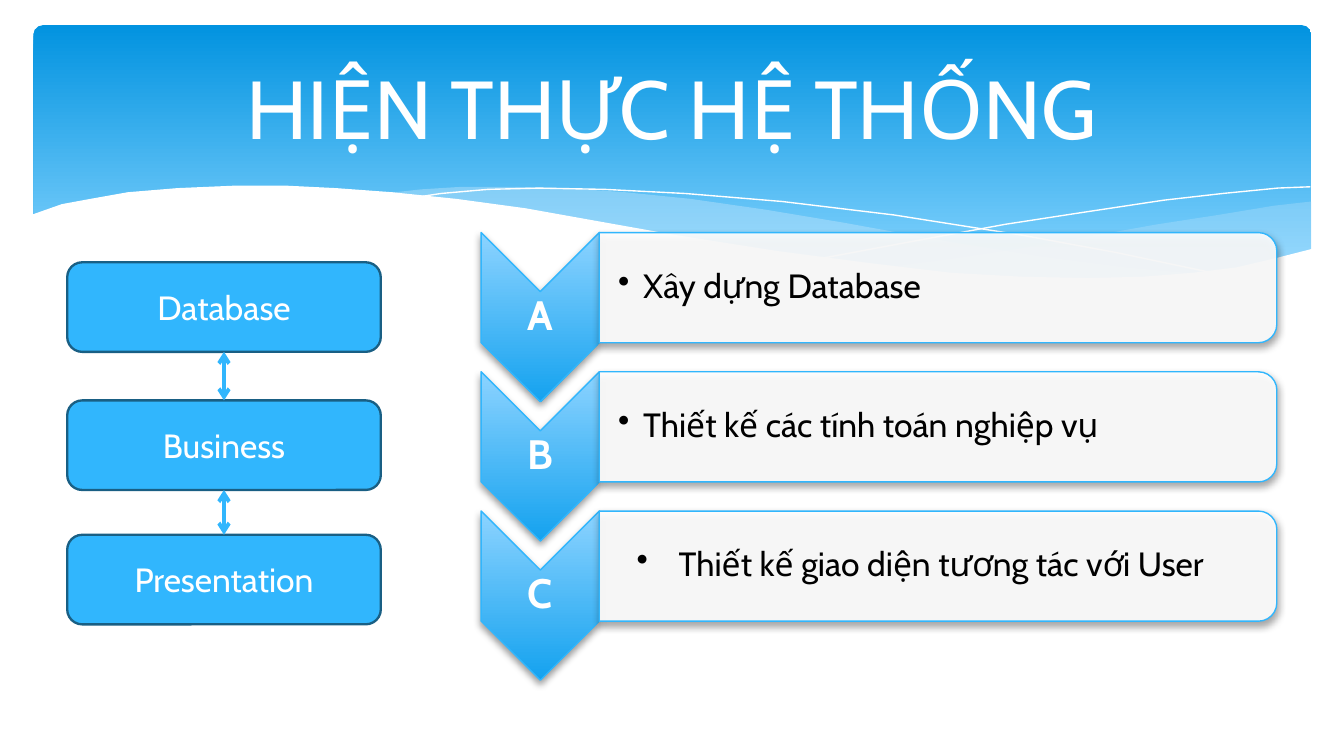
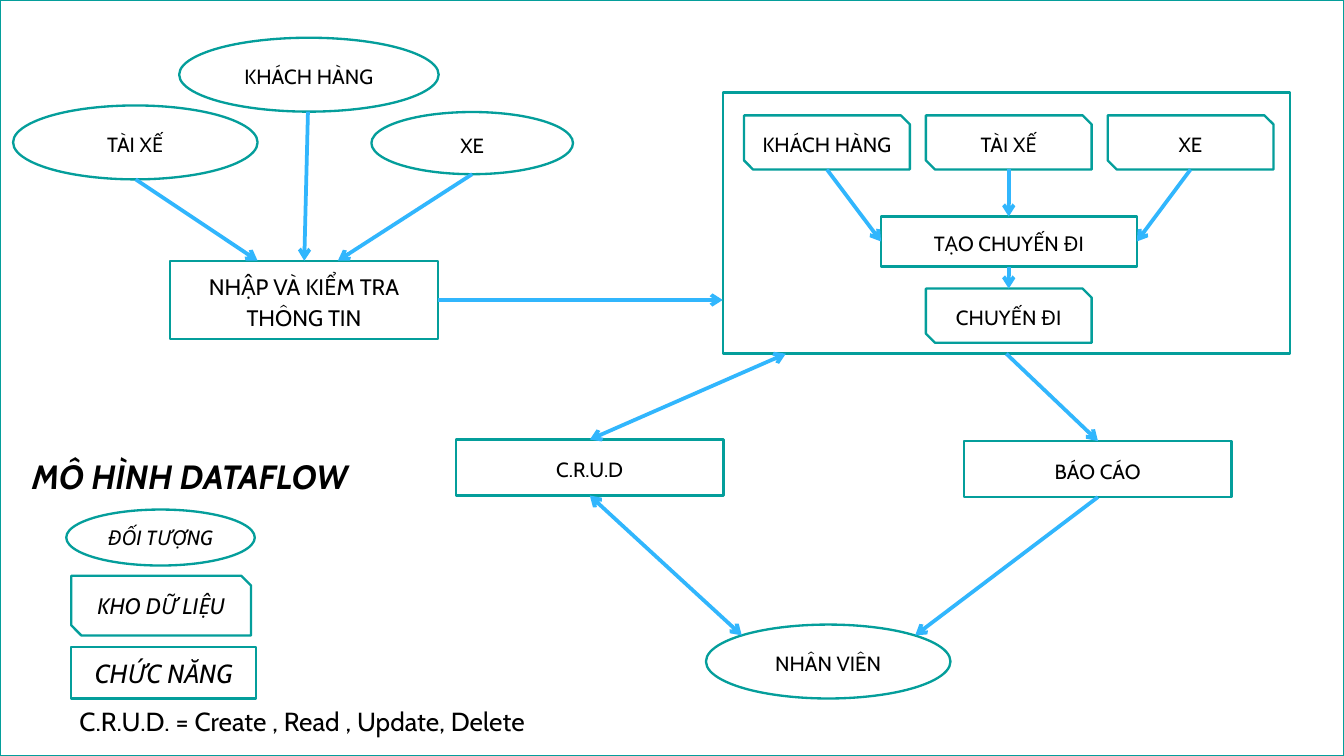
from lxml.etree import SubElement
from pptx import Presentation
from pptx.dml.color import RGBColor
from pptx.enum.shapes import MSO_CONNECTOR, MSO_SHAPE as SHAPE
from pptx.enum.text import MSO_ANCHOR as ANCHOR, PP_ALIGN as ALIGN
from pptx.oxml.ns import qn
from pptx.util import Pt

WHITE = RGBColor(0xFF, 0xFF, 0xFF)
BLACK = RGBColor(0x00, 0x00, 0x00)
SKY = RGBColor(0x31, 0xB6, 0xFD)
NAVY = RGBColor(0x19, 0x5F, 0x84)
TEAL = RGBColor(0x04, 0x9E, 0x9B)
MIST = RGBColor(0xC6, 0xE7, 0xFC)
BAND_TOP = RGBColor(0x02, 0x93, 0xE0)
BAND_END = RGBColor(0x83, 0xD3, 0xFE)
CHEVRON_TOP = RGBColor(0x8C, 0xD3, 0xFF)
CHEVRON_END = RGBColor(0x14, 0xA2, 0xEF)

CENTRED = {"alignment": ALIGN.CENTER}
LEFT = {"alignment": ALIGN.LEFT}
SPACED = {"alignment": ALIGN.CENTER, "line_spacing": 1.15, "space_after": Pt(10)}
MIDDLE = {"vertical_anchor": ANCHOR.MIDDLE}
TOP = {"vertical_anchor": ANCHOR.TOP}
NARROW = {"vertical_anchor": ANCHOR.MIDDLE, "margin_left": 0, "margin_right": 0}


def paint(sp, fill=None, line=None, width=1.25, alpha=None, angle=0):
    sp.shadow.inherit = False
    if isinstance(fill, list):
        sp.fill.gradient()
        sp.fill.gradient_angle = angle
        for stop, (color, position) in zip(sp.fill.gradient_stops, fill):
            stop.color.rgb = color
            stop.position = position
    elif fill is None:
        sp.fill.background()
    else:
        sp.fill.solid()
        sp.fill.fore_color.rgb = fill
    if alpha:
        color = sp._element.spPr.find(".//" + qn("a:srgbClr"))
        SubElement(color, qn("a:alpha"), val=str(alpha * 1000))
    if line is None:
        sp.line.fill.background()
    else:
        sp.line.color.rgb = line
        sp.line.width = Pt(width)
    return sp


def write(sp, text, size, color, para, frame, **fmt):
    tf = sp.text_frame
    tf.word_wrap = True
    p = tf.paragraphs[0]
    r = p.add_run()
    r.text = text
    r.font.color.rgb = color
    font = {"name": "Cabin", "size": Pt(size), **fmt}
    for target, values in ((tf, frame), (p, para), (r.font, font)):
        for key, value in values.items():
            setattr(target, key, value)
    return p


prs = Presentation()
prs.slide_width, prs.slide_height = Pt(720), Pt(405)
title_only = prs.slide_layouts[5]
system = prs.slides.add_slide(title_only)
dataflow = prs.slides.add_slide(title_only)

shapes = system.shapes
sp = shapes.add_shape(SHAPE.ROUNDED_RECTANGLE, Pt(18), Pt(13.5), Pt(684.5), Pt(145.5))
sp.adjustments[0] = 0.034
paint(sp, [(BAND_TOP, 0), (BAND_END, 0.9)], angle=270)

right_wave = [
    (702, 108), (682.6, 110.2), (652.3, 115.2), (619.9, 120.2), (579.6, 127.4),
    (542.2, 133.9), (508.3, 139), (475.9, 143.3), (507.6, 146.2), (536.4, 148.3),
    (562.3, 149.8), (593.3, 149.8), (621.4, 148.3), (645.8, 146.2),
    (668.2, 142.6), (683.3, 139), (702.7, 133.2), (702.7, 108)]
middle_wave = [
    (643, 146.9), (602.6, 143.3), (558, 137.5), (508.3, 129.6), (452.9, 119.5),
    (409.7, 112.3), (370.1, 106.6), (334.8, 103), (302.4, 100.8), (273.6, 100.1),
    (247.7, 100.1), (225.4, 101.5), (205.9, 103.7), (246.2, 107.3),
    (290.9, 113.8), (323.3, 119.5), (381.6, 129.6), (432.7, 137.5), (478.8, 144),
    (519.8, 147.6), (556.6, 149.8), (596.2, 150.5), (624.2, 149)]
falling_line = [
    (222.5, 105.8), (236.2, 103.7), (261.4, 101.5), (288.7, 100.8), (324, 101.5),
    (367.2, 103.7), (419, 108), (478.8, 115.2), (547.2, 126), (598.3, 135.4),
    (653, 146.9)]
rising_line = [
    (441.4, 138.2), (483.8, 130.3), (538.6, 120.2), (580.3, 113.8),
    (623.5, 107.3), (655.2, 103.7), (684.7, 100.8), (702, 100.1)]
white_wave = [
    (703.4, 133.2), (684, 138.2), (662.4, 143.3), (638.6, 146.2), (612, 148.3),
    (582.5, 149), (547.9, 148.3), (509.8, 146.2), (466.6, 141.1), (416.9, 134.6),
    (362.2, 126), (321.8, 118.8), (281.5, 111.6), (244.8, 106.6), (210.2, 103),
    (180, 100.8), (151.9, 99.4), (127.4, 99.4), (95, 100.8), (68.4, 103),
    (48.2, 106.6), (33.1, 109.4), (16.6, 115.2), (16.6, 177.8), (703.4, 177.8)]

for points, fill, alpha, line in [
    (right_wave, MIST, 29, None),
    (middle_wave, MIST, 40, None),
    (falling_line, None, None, WHITE),
    (rising_line, None, None, WHITE),
    (white_wave, WHITE, None, None),
]:
    start, *rest = [(Pt(x), Pt(y)) for x, y in points]
    builder = shapes.build_freeform(*start)
    builder.add_line_segments(rest, close=line is None)
    paint(builder.convert_to_shape(), fill, line, 0, alpha)

for slide, box, text, size, color, para, frame, fmt in [
    (system, (36, 20, 648, 74), "HIỆN THỰC HỆ THỐNG", 44, WHITE, CENTRED, MIDDLE, {}),
    (dataflow, (10, 240.5, 188.5, 29), "MÔ HÌNH DATAFLOW", 18, BLACK, LEFT, TOP,
     {"bold": True, "italic": True}),
]:
    title = slide.shapes.title
    title.left, title.top, title.width, title.height = map(Pt, box)
    write(title, text, size, color, para, frame, **fmt)
shapes._spTree.append(shapes.title._element)

for i, (letter, text, inset, indent) in enumerate([
    ("A", "Xây dựng Database", 10, 13.5),
    ("B", "Thiết kế các tính toán nghiệp vụ", 10, 13.5),
    ("C", "Thiết kế giao diện tương tác với User", 20, 22.5),
]):
    y = 74.6 * i
    chevron = shapes.add_shape(SHAPE.CHEVRON, Pt(244.1), Pt(y + 138.2), Pt(90.7), Pt(63.4))
    paint(chevron, [(CHEVRON_TOP, 0), (CHEVRON_END, 1)], SKY, 0.75)
    card = shapes.add_shape(SHAPE.ROUND_2_SAME_RECTANGLE,
                            Pt(473), Pt(y - 27.4), Pt(59), Pt(363))
    paint(card, WHITE, SKY, 0.75, 90)
    for sp in (chevron, card):
        sp.rotation = 90
        effects = sp._element.spPr.find(qn("a:effectLst"))
        shadow = SubElement(effects, qn("a:outerShdw"), blurRad=str(Pt(4)),
                            dist=str(Pt(2)), dir="5400000", rotWithShape="0")
        color = SubElement(shadow, qn("a:srgbClr"), val="000000")
        SubElement(color, qn("a:alpha"), val="38000")
    sp = shapes.add_textbox(Pt(257.8), Pt(y + 156.2), Pt(63.4), Pt(27.4))
    write(sp, letter, 22, WHITE, {"alignment": ALIGN.CENTER, "line_spacing": 0.9},
          NARROW, bold=True)
    sp = shapes.add_textbox(Pt(321.1), Pt(y + 127.4), Pt(360), Pt(53.3))
    p = write(sp, text, 18, BLACK, {"level": 1, "line_spacing": 0.9},
              {**MIDDLE, "margin_left": Pt(inset), "margin_right": Pt(1)})
    pPr = p._p.get_or_add_pPr()
    pPr.set("marL", str(Pt(indent)))
    pPr.set("indent", str(-Pt(indent)))
    SubElement(pPr, qn("a:buChar"), char="•")

for y, text in [(140.5, "Database"), (214.5, "Business"), (286.5, "Presentation")]:
    sp = shapes.add_shape(SHAPE.ROUNDED_RECTANGLE, Pt(36), Pt(y), Pt(168), Pt(48))
    write(paint(sp, SKY, NAVY), text, 18, WHITE, CENTRED, MIDDLE)

shapes = dataflow.shapes
OVAL, BOX, STORE = SHAPE.OVAL, SHAPE.RECTANGLE, SHAPE.SNIP_2_DIAG_RECTANGLE
legend = {"italic": True}
for kind, x, y, w, h, text, size, para, fmt in [
    (BOX, 0, 0, 720, 405, "", 11, SPACED, {}),
    (OVAL, 199, 60, 108, 33.3, "XE", 11, SPACED, {}),
    (OVAL, 7, 56.5, 131, 39.6, "TÀI XẾ", 11, SPACED, {}),
    (OVAL, 96, 20.2, 139, 39.6, "KHÁCH HÀNG", 11, SPACED, {}),
    (BOX, 91.2, 139.7, 143.5, 42, "NHẬP VÀ KIỂM TRA THÔNG TIN", 12, SPACED, {}),
    (BOX, 387.2, 49.5, 303.8, 140, "", 11, SPACED, {}),
    (STORE, 398.6, 61.8, 88.8, 29, "KHÁCH HÀNG", 11, SPACED, {}),
    (STORE, 496, 61.8, 88.8, 29, "TÀI XẾ", 11, SPACED, {}),
    (STORE, 593.4, 61.8, 88.8, 29, "XE", 11, SPACED, {}),
    (BOX, 472, 116, 137, 26.8, "TẠO CHUYẾN ĐI", 11, SPACED, {}),
    (STORE, 496, 154.6, 88.8, 29, "CHUYẾN ĐI", 11, SPACED, {}),
    (BOX, 516.4, 236.3, 143.5, 30, "BÁO CÁO", 11, SPACED, {}),
    (BOX, 244.2, 235.5, 143.5, 30, "C.R.U.D", 11, SPACED, {}),
    (OVAL, 378.2, 334.6, 131, 39.6, "NHÂN VIÊN", 11, SPACED, {}),
    (OVAL, 35.5, 273, 101, 30, "ĐỐI TƯỢNG", 11, CENTRED, legend),
    (STORE, 38.2, 308.4, 96.3, 32, "KHO DỮ LIỆU", 12, CENTRED, legend),
    (BOX, 38.2, 346.5, 99, 27.7, "CHỨC NĂNG", 14, CENTRED, legend),
]:
    sp = paint(shapes.add_shape(kind, Pt(x), Pt(y), Pt(w), Pt(h)), WHITE, TEAL)
    if text:
        write(sp, text, size, BLACK, para, NARROW, **fmt)

shapes._spTree.append(shapes.title._element)
sp = shapes.add_textbox(Pt(35.5), Pt(374.5), Pt(287), Pt(24.2))
write(sp, "C.R.U.D. = Create , Read , Update, Delete", 14, BLACK, LEFT, TOP)

for slide, x1, y1, x2, y2, ends in [
    (system, 120, 188.5, 120, 214.5, ("headEnd", "tailEnd")),
    (system, 120, 262.5, 120, 286.5, ("headEnd", "tailEnd")),
    (dataflow, 72.7, 96.1, 138, 139.7, ("tailEnd",)),
    (dataflow, 253, 93.3, 181, 139.7, ("tailEnd",)),
    (dataflow, 165, 59.8, 163, 139.7, ("tailEnd",)),
    (dataflow, 234.7, 160.7, 387.2, 160.7, ("tailEnd",)),
    (dataflow, 588.2, 266.3, 490.3, 340.4, ("tailEnd",)),
    (dataflow, 421, 189.5, 316, 235.5, ("headEnd", "tailEnd")),
    (dataflow, 316, 265.5, 397.4, 340.4, ("headEnd", "tailEnd")),
    (dataflow, 443, 90.8, 472, 129.4, ("tailEnd",)),
    (dataflow, 540.4, 90.8, 540.4, 116, ("tailEnd",)),
    (dataflow, 637.8, 90.8, 609, 129.4, ("tailEnd",)),
    (dataflow, 540.4, 142.8, 540.4, 154.6, ("tailEnd",)),
    (dataflow, 539.1, 189.5, 588.2, 236.3, ("tailEnd",)),
]:
    arrow = slide.shapes.add_connector(MSO_CONNECTOR.STRAIGHT, Pt(x1), Pt(y1), Pt(x2), Pt(y2))
    arrow.line.color.rgb = SKY
    arrow.line.width = Pt(2)
    for end in ends:
        SubElement(arrow.line._get_or_add_ln(), qn("a:" + end), type="arrow")
    SubElement(arrow._element.spPr, qn("a:effectLst"))

prs.save("out.pptx")
